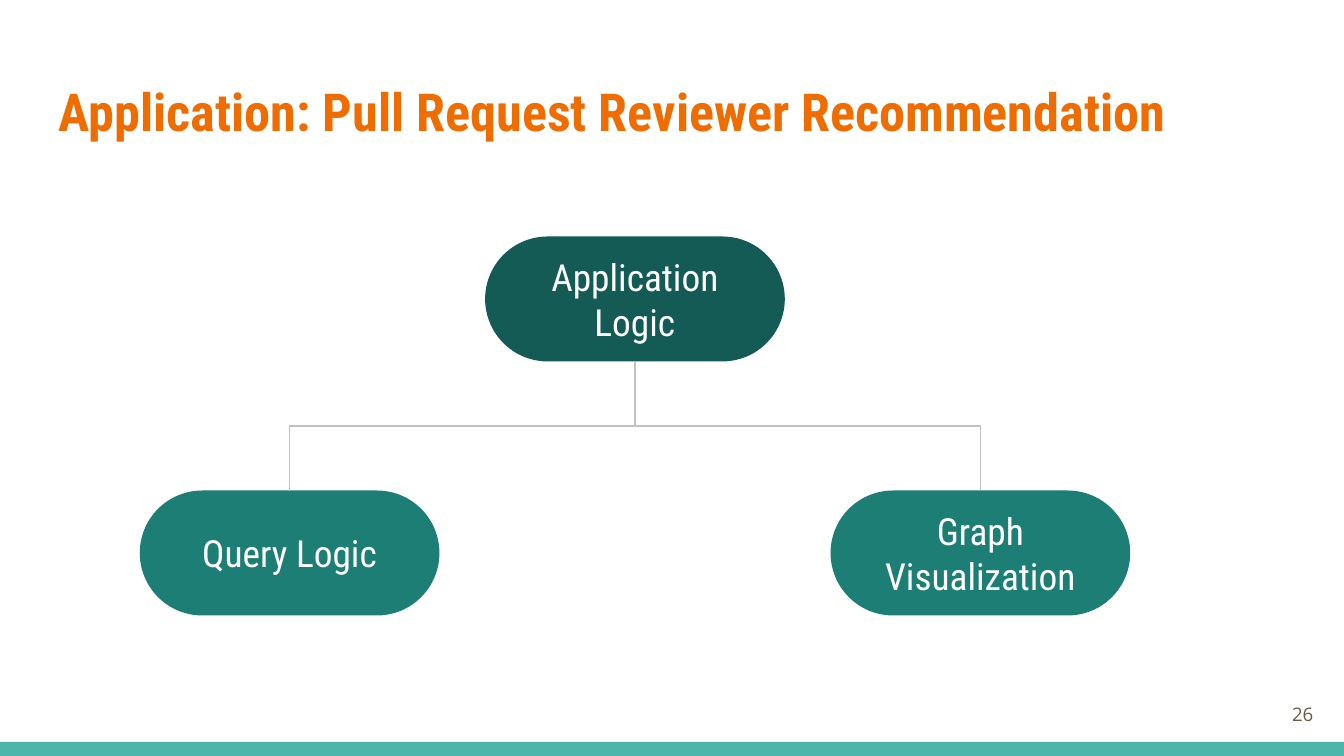
from lxml import etree
from pptx import Presentation
from pptx.dml.color import RGBColor
from pptx.enum.shapes import MSO_CONNECTOR as CONNECTOR, MSO_SHAPE as SHAPE
from pptx.enum.text import MSO_ANCHOR as ANCHOR, PP_ALIGN as ALIGN
from pptx.oxml.ns import qn
from pptx.util import Inches, Pt

ORANGE = RGBColor(0xEF, 0x6C, 0x00)
TEAL = RGBColor(0x4D, 0xB6, 0xAC)
DARK_TEAL = RGBColor(0x15, 0x5B, 0x55)
MID_TEAL = RGBColor(0x1D, 0x7E, 0x75)
GRAY = RGBColor(0xC2, 0xC2, 0xC2)
BROWN = RGBColor(0x69, 0x5D, 0x46)
WHITE = RGBColor(0xFF, 0xFF, 0xFF)

HEADING_FONT = "Roboto Condensed"
NUMBER_FONT = "Open Sans"
NODE_WIDTH, NODE_HEIGHT = 2.23, 0.93


def write_text(holder, text, size, color, font=HEADING_FONT, bold=False,
               align=ALIGN.LEFT, anchor=ANCHOR.MIDDLE):
    frame = holder.text_frame
    frame.word_wrap = True
    frame.vertical_anchor = anchor
    frame.margin_left = frame.margin_right = Inches(0.1)
    frame.margin_top = frame.margin_bottom = Inches(0.1)
    paragraph = frame.paragraphs[0]
    paragraph.alignment = align
    run = paragraph.add_run()
    run.text = text
    run.font.name = font
    run.font.size = Pt(size)
    run.font.bold = bold
    run.font.color.rgb = color


def add_filled(slide, kind, box, color):
    shape = slide.shapes.add_shape(kind, *map(Inches, box))
    shape.shadow.inherit = False
    shape.fill.solid()
    shape.fill.fore_color.rgb = color
    shape.line.fill.background()
    return shape


def add_node(slide, left, top, label, color):
    node = add_filled(slide, SHAPE.ROUNDED_RECTANGLE,
                      (left, top, NODE_WIDTH, NODE_HEIGHT), color)
    node.adjustments[0] = 0.5
    write_text(node, label, 20, WHITE, align=ALIGN.CENTER)
    return node


def add_branch(slide, start, start_site, end, end_site):
    branch = slide.shapes.add_connector(CONNECTOR.ELBOW, 0, 0, 0, 0)
    branch.begin_connect(start, start_site)
    branch.end_connect(end, end_site)
    left, top, span, drop = branch.left, branch.top, branch.width, branch.height
    downward = branch.begin_y < branch.end_y
    branch.left = left + (span - drop) // 2
    branch.top = top + (drop - span) // 2
    branch.width, branch.height = drop, span
    properties = branch._element.spPr
    transform = properties.find(qn("a:xfrm"))
    transform.set("rot", str(270 * 60000))
    transform.set("flipH", "1" if downward else "0")
    transform.set("flipV", "0")
    branch.line.color.rgb = GRAY
    branch.line.width = Pt(0.75)
    etree.SubElement(properties, qn("a:effectLst"))


def add_hierarchy(slide, left, top, width, height):
    child_top = top + height - NODE_HEIGHT
    root = add_node(slide, left + (width - NODE_WIDTH) / 2, top,
                    "Application Logic", DARK_TEAL)
    graph = add_node(slide, left + width - NODE_WIDTH, child_top,
                     "Graph Visualization", MID_TEAL)
    query = add_node(slide, left, child_top, "Query Logic", MID_TEAL)
    add_branch(slide, root, 2, graph, 0)
    add_branch(slide, query, 0, root, 2)


def add_title(slide, left, top, width, height):
    title = slide.shapes.add_textbox(*map(Inches, (left, top, width, height)))
    write_text(title, "Application: Pull Request Reviewer Recommendation",
               28, ORANGE, bold=True, anchor=ANCHOR.TOP)


def add_footer(slide, left, top, width, height):
    add_filled(slide, SHAPE.RECTANGLE, (left, top, width, height), TEAL)
    number = slide.shapes.add_textbox(
        *map(Inches, (left + width - 0.73, top - 0.42, 0.6, 0.43)))
    write_text(number, "26", 10, BROWN, font=NUMBER_FONT, align=ALIGN.RIGHT)


def main():
    deck = Presentation()
    deck.slide_width = Inches(10)
    deck.slide_height = deck.slide_width * 9 // 16
    slide = deck.slides.add_slide(deck.slide_layouts[6])
    slide.background.fill.solid()
    slide.background.fill.fore_color.rgb = WHITE
    add_title(slide, 0.34, 0.49, 9.32, 0.77)
    add_hierarchy(slide, 1.04, 1.76, 7.37, 2.82)
    add_footer(slide, 0, 5.52, 10, 0.11)
    deck.save("out.pptx")


if __name__ == "__main__":
    main()
